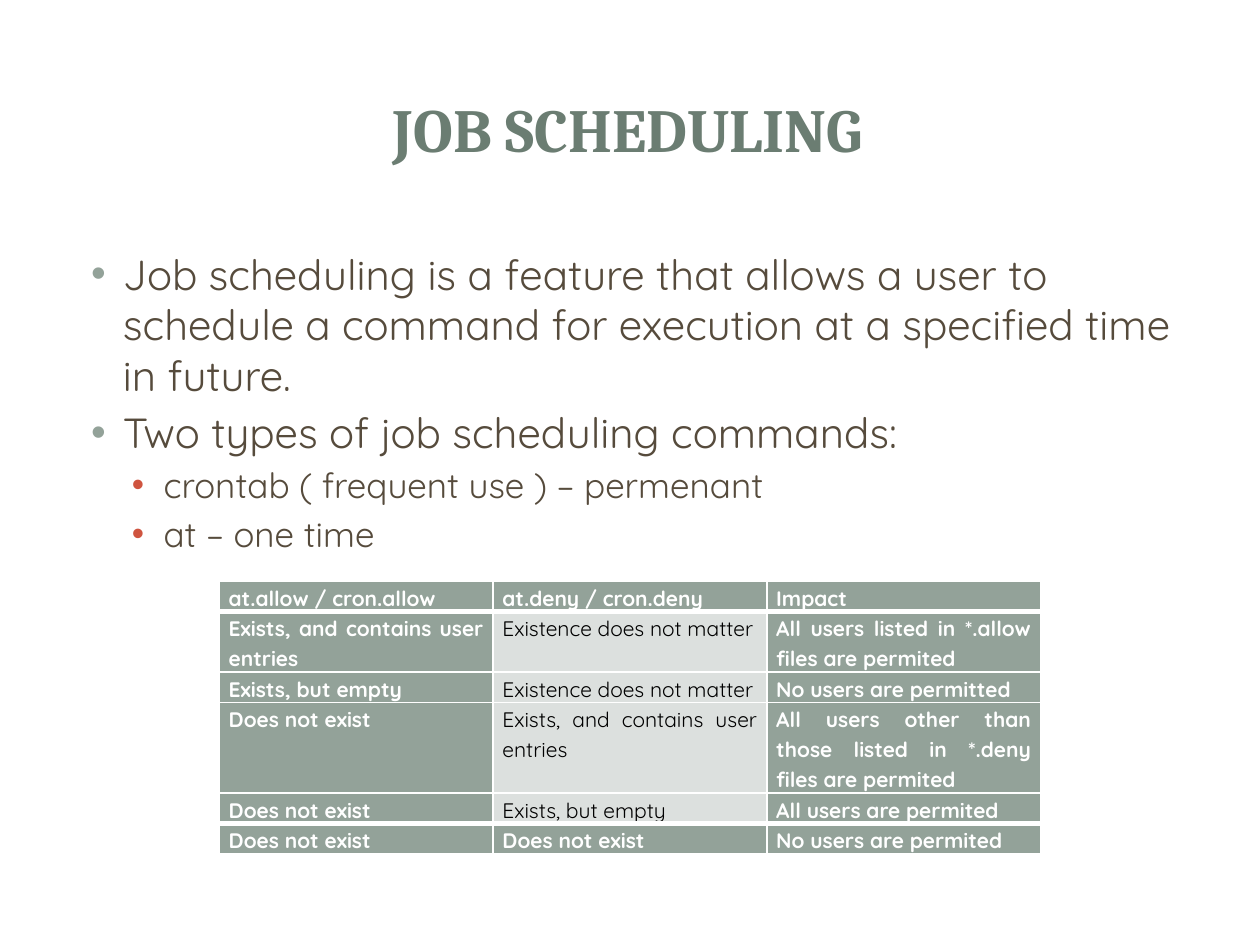
import pptx
import pptx.dml.color
import pptx.enum.shapes
import pptx.enum.text
import pptx.oxml
import pptx.oxml.ns
import pptx.util
from pptx.util import Cm, Pt

# Content
TITLE = "JOB SCHEDULING"
BULLETS = [
    (0, "Job scheduling is a feature that allows a user to schedule a command "
        "for execution at a specified time in future. "),
    (0, "Two types of job scheduling commands:"),
    (1, "crontab ( frequent use ) – permenant"),
    (1, "at – one time"),
]
ACCESS_ROWS = [
    ("at.allow / cron.allow", "at.deny / cron.deny", "Impact"),
    ("Exists, and contains user entries", "Existence does not matter",
     "All users listed in *.allow files are permited"),
    ("Exists, but empty", "Existence does not matter", "No users are permitted"),
    ("Does not exist", "Exists, and contains user entries",
     "All users other than those listed in *.deny files are permited"),
    ("Does not exist", "Exists, but empty", "All users are permited"),
    ("Does not exist", "Does not exist", "No users are permited"),
]
LINES_PER_ROW = [1, 2, 1, 3, 1, 1]

# Formats
COLORS = {"title": "6B7D72", "body": "564B3C", "sage": "93A299", "red": "CF543F",
          "pale": "DCE0DE", "white": "FFFFFF", "black": "000000"}
ALIGN = pptx.enum.text.PP_ALIGN
ANCHOR = pptx.enum.text.MSO_ANCHOR
SHAPE = pptx.enum.shapes.MSO_SHAPE
PANELS = [  # preset, left, top, width, height, opacity in percent
    (SHAPE.ROUNDED_RECTANGLE, 0.25, 0.28, 24.89, 18.52, 100),
    (SHAPE.RECTANGLE, 0.76, 0.76, 23.88, 3.68, 83),
    (SHAPE.RECTANGLE, 1.04, 1.04, 23.29, 3.1, 100),
]
TITLE_FONT = {"name": "Cambria", "size": Pt(35), "bold": True}
LEVELS = [
    {"size": 24, "left": Cm(0.96), "bullet": "sage"},
    {"size": 20, "left": Cm(1.78), "bullet": "red"},
]
HANGING = Cm(0.64)
LINE_HEIGHT = Cm(0.61)
COLUMN_WIDTH = Cm(5.52)
CELL_FORMAT = {"margin_left": Cm(0.19), "margin_right": Cm(0.19),
               "margin_top": 0, "margin_bottom": 0}


def set_attributes(target, values):
    for name, value in values.items():
        setattr(target, name, value)


def set_fill(fill, color):
    fill.solid()
    fill.fore_color.rgb = pptx.dml.color.RGBColor.from_string(COLORS[color])


def add_panel(slide, preset, left, top, width, height, opacity):
    shape = slide.shapes.add_shape(preset, Cm(left), Cm(top), Cm(width), Cm(height))
    shape.shadow.inherit = False
    shape.line.fill.background()
    set_fill(shape.fill, "white")
    if preset == SHAPE.ROUNDED_RECTANGLE:
        shape.adjustments[0] = 0.02
    if opacity < 100:
        color = shape._element.spPr.find(".//" + pptx.oxml.ns.qn("a:srgbClr"))
        color.append(pptx.oxml.parse_xml(
            f'<a:alpha {pptx.oxml.ns.nsdecls("a")} val="{opacity * 1000}"/>'))


def write(paragraph, text, color, font, **layout):
    set_attributes(paragraph, layout)
    run = paragraph.add_run()
    run.text = text
    set_attributes(run.font, font)
    run.font.color.rgb = pptx.dml.color.RGBColor.from_string(COLORS[color])


def add_text_frame(slide, *box, anchor):
    frame = slide.shapes.add_textbox(*box).text_frame
    set_attributes(frame, {"word_wrap": True, "vertical_anchor": anchor})
    return frame


def add_bullet(paragraph, left, color):
    properties = paragraph._p.get_or_add_pPr()
    properties.set("marL", str(left))
    properties.set("indent", str(-HANGING))
    namespace = pptx.oxml.ns.nsdecls("a")
    for xml in (f'<a:buClr {namespace}><a:srgbClr val="{COLORS[color]}"/></a:buClr>',
                f'<a:buFont {namespace} typeface="Arial"/>',
                f'<a:buChar {namespace} char="•"/>'):
        properties.append(pptx.oxml.parse_xml(xml))


def add_borders(cell, widths):
    properties = cell._tc.get_or_add_tcPr()
    for index, (side, width) in enumerate(widths.items()):
        properties.insert(index, pptx.oxml.parse_xml(
            f'<a:ln{side} {pptx.oxml.ns.nsdecls("a")} w="{Pt(width)}"><a:solidFill>'
            f'<a:srgbClr val="{COLORS["white"]}"/></a:solidFill></a:ln{side}>'))


presentation = pptx.Presentation()
presentation.slide_width, presentation.slide_height = Cm(25.4), Cm(19.05)
slide = presentation.slides.add_slide(presentation.slide_layouts[6])

# Background panels
for panel in PANELS:
    add_panel(slide, *panel)

# Title
frame = add_text_frame(slide, Cm(1.19), Cm(1.14), Cm(22.94), Cm(2.9), anchor=ANCHOR.MIDDLE)
write(frame.paragraphs[0], TITLE, "title", TITLE_FONT, alignment=ALIGN.CENTER)

# Bullets
frame = add_text_frame(slide, Cm(1.27), Cm(4.88), Cm(22.86), Cm(12.14), anchor=ANCHOR.TOP)
for index, (level, text) in enumerate(BULLETS):
    style = LEVELS[level]
    paragraph = frame.add_paragraph() if index else frame.paragraphs[0]
    write(paragraph, text, "body", {"name": "Quicksand", "size": Pt(style["size"])},
          level=level, space_before=Pt(4))
    add_bullet(paragraph, style["left"], style["bullet"])

# Access table
last = len(ACCESS_ROWS) - 1
table = slide.shapes.add_table(
    len(ACCESS_ROWS), 3, Cm(4.42), Cm(11.72),
    3 * COLUMN_WIDTH, sum(LINES_PER_ROW) * LINE_HEIGHT).table
for column in table.columns:
    column.width = COLUMN_WIDTH
for row, texts in enumerate(ACCESS_ROWS):
    table.rows[row].height = LINES_PER_ROW[row] * LINE_HEIGHT
    for column, text in enumerate(texts):
        cell = table.cell(row, column)
        plain = column == 1 and 0 < row < last
        set_attributes(cell, CELL_FORMAT)
        set_fill(cell.fill, "pale" if plain else "sage")
        write(cell.text_frame.paragraphs[0], text, "black" if plain else "white",
              {"name": "Quicksand", "size": Pt(12), "bold": not plain},
              alignment=ALIGN.JUSTIFY, line_spacing=1.15)
        add_borders(cell, {"L": 1, "R": 1, "T": 3 if row in (1, last) else 1,
                           "B": 3 if row in (0, last - 1) else 1})

presentation.save("out.pptx")
